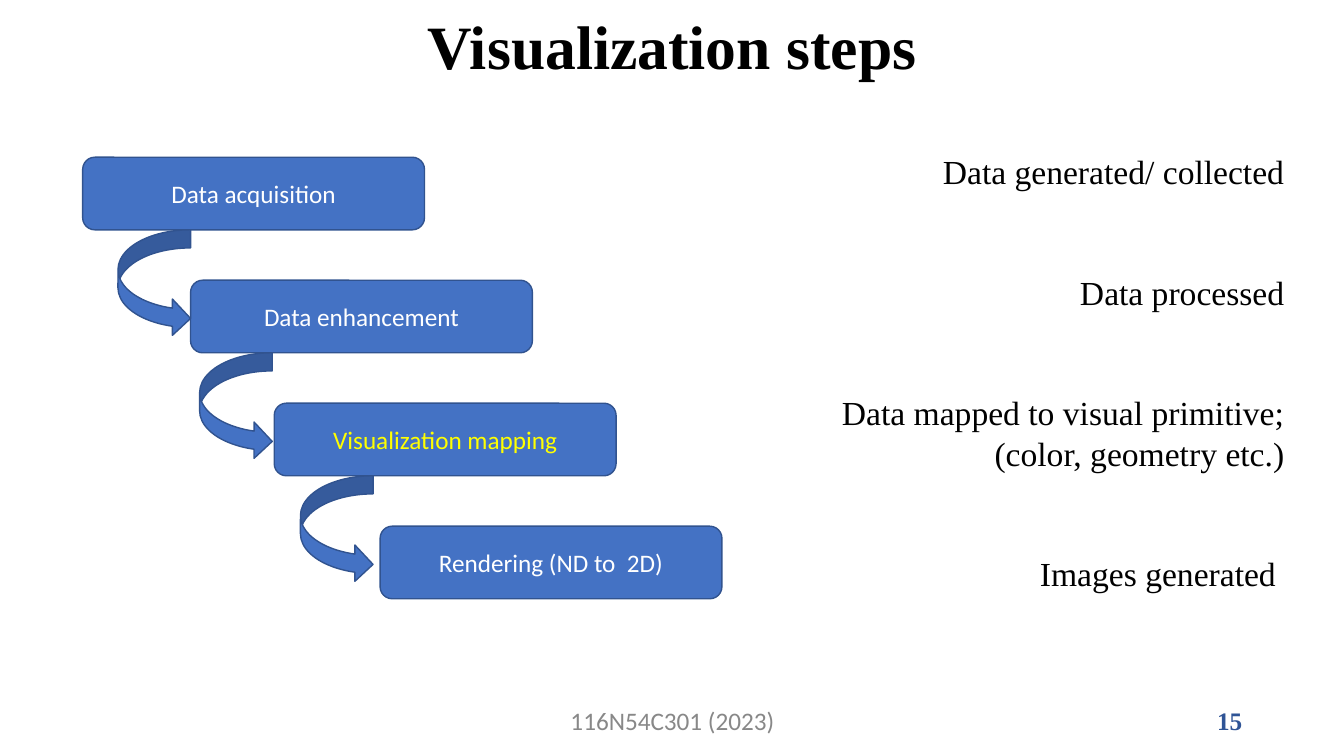
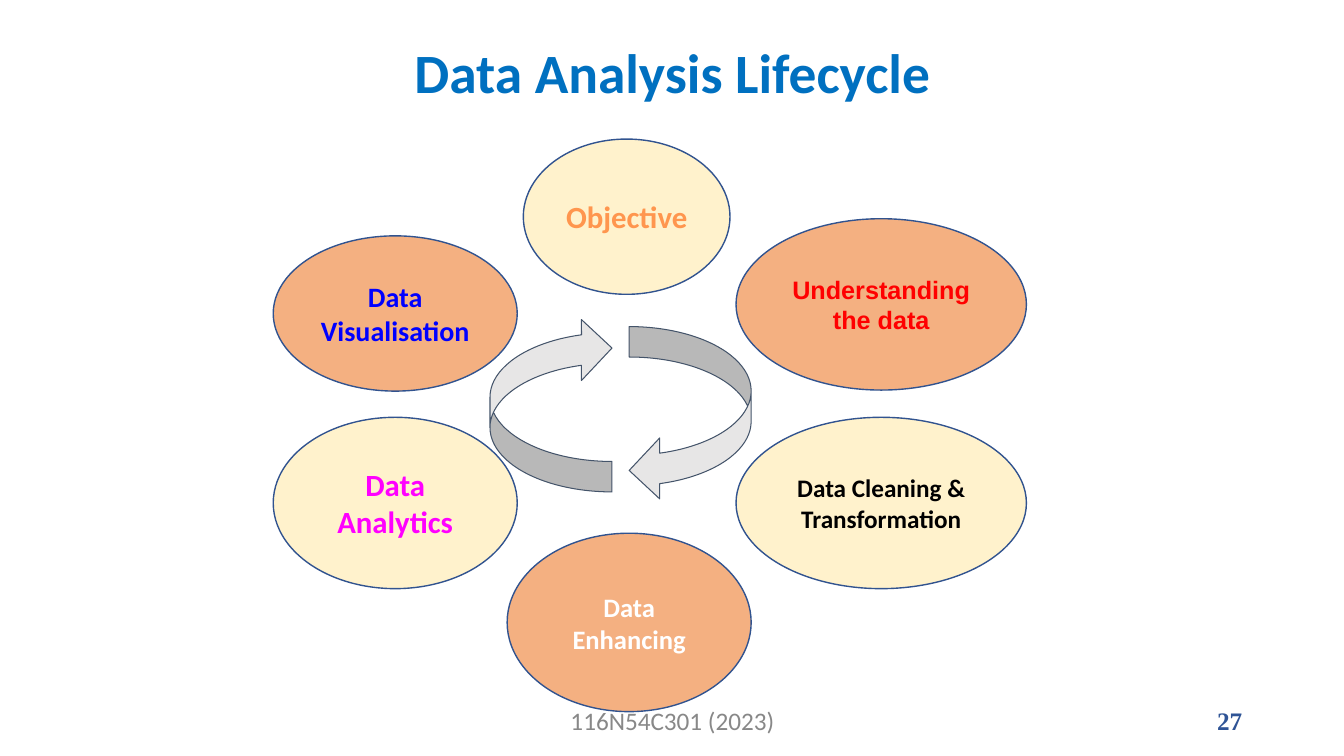
from pptx import Presentation
from pptx.dml.color import RGBColor as RGB
from pptx.enum.shapes import MSO_SHAPE as Geo
from pptx.enum.text import MSO_ANCHOR as Anchor, MSO_AUTO_SIZE as Fit, PP_ALIGN as Align
from pptx.util import Pt

PX = 9144  # EMU per px, 100 px to the inch
SANS, SERIF, ARIAL = "Calibri", "Times New Roman", "Arial"

BLACK = RGB(0x00, 0x00, 0x00)
WHITE = RGB(0xFF, 0xFF, 0xFF)
GRAY = RGB(0x88, 0x88, 0x88)
NAVY = RGB(0x2F, 0x54, 0x96)
BLUE = RGB(0x44, 0x72, 0xC4)
EDGE = RGB(0x31, 0x53, 0x8F)
SKY = RGB(0x00, 0x70, 0xC0)
PURE = RGB(0x00, 0x00, 0xFF)
YELLOW = RGB(0xFF, 0xFF, 0x00)
CREAM = RGB(0xFF, 0xF2, 0xCC)
PEACH = RGB(0xF4, 0xB0, 0x81)
ORANGE = RGB(0xFF, 0x96, 0x4E)
PINK = RGB(0xFF, 0x00, 0xFF)
RED = RGB(0xFF, 0x00, 0x00)
SILVER = RGB(0xE7, 0xE6, 0xE6)
SLATE = RGB(0x44, 0x54, 0x6A)


def px(*sizes):
    return [size * PX for size in sizes]


class Deck:
    def __init__(self):
        self.prs = Presentation()
        self.prs.slide_width, self.prs.slide_height = px(1333, 750)

    def start(self, title, number, top, height, size, font, color):
        """Add a slide with its title, footer and number."""
        self.slide = self.prs.slides.add_slide(self.prs.slide_layouts[5])
        head = self.slide.shapes.title
        head.left, head.top, head.width, head.height = px(92, top, 1150, height)
        self.label(head, title, size, color, font, bold=True)
        head.text_frame.paragraphs[0].line_spacing = 0.9
        self.text("116N54C301 (2023)", (442, 695, 450, 40), 18, GRAY)
        self.text(number, (942, 695, 300, 40), 18, NAVY, SERIF, True, Align.RIGHT)

    def label(self, shape, text, size, color, font=SANS, bold=False,
              align=Align.CENTER, anchor=Anchor.MIDDLE):
        """Fill a shape with text, one paragraph a line, in one style."""
        frame = shape.text_frame
        frame.text = text
        frame.word_wrap = True
        frame.auto_size = Fit.NONE
        frame.vertical_anchor = anchor
        for para in frame.paragraphs:
            para.alignment = align
            for run in para.runs:
                run.font.name = font
                run.font.size = Pt(size)
                run.font.bold = bold
                run.font.color.rgb = color

    def text(self, text, box, *style):
        shape = self.slide.shapes.add_textbox(*px(*box))
        self.label(shape, text, *style)
        return shape

    def shape(self, kind, box, fill, edge=EDGE, width=1, turn=0):
        shape = self.slide.shapes.add_shape(kind, *px(*box))
        shape.shadow.inherit = False
        shape.fill.solid()
        shape.fill.fore_color.rgb = fill
        shape.line.color.rgb = edge
        shape.line.width = Pt(width)
        shape.rotation = turn
        return shape

    def stack(self, rows, box, line, gap):
        """Stack right-aligned lines; each row is a text and its right indent."""
        shape = self.text("\n".join(text for text, _ in rows), box, 24, BLACK,
                          SERIF, False, Align.RIGHT, Anchor.TOP)
        for i, (para, row) in enumerate(zip(shape.text_frame.paragraphs, rows)):
            para.line_spacing = Pt(line)
            if i:
                para.space_before = Pt(gap)
            if row[1]:
                para._p.get_or_add_pPr().set("marR", str(Pt(row[1])))


def steps(deck):
    deck.start("Visualization steps", "15", 10, 78, 44, SERIF, BLACK)
    top, pitch, high = 156, 122, 72
    boxes = [
        (82, "Data acquisition", WHITE),
        (189, "Data enhancement", WHITE),
        (272, "Visualization mapping", YELLOW),
        (377, "Rendering (ND to  2D)", WHITE),
    ]
    for i, (left, text, color) in enumerate(boxes):
        box = deck.shape(Geo.ROUNDED_RECTANGLE, (left, top + i * pitch, 339, high), BLUE)
        deck.label(box, text, 18, color)
    deck.stack([
        ("Data generated/ collected", 6),
        ("Data processed", 0),
        ("Data mapped to visual primitive; (color, geometry etc.)", 0),
        ("Images generated", 12),
    ], (817, 145, 475, 454), 29, 57)
    for i, left in enumerate((117, 198, 298)):
        deck.shape(Geo.CURVED_RIGHT_ARROW, (left, top + high + i * pitch, 72, 106), BLUE)


def cycle(deck):
    deck.start("Data Analysis Lifecycle", "27", 40, 69, 39.6, SANS, SKY)
    stages = [
        ("Objective", (519, 138, 205, 154), CREAM, 22, ORANGE, SANS),
        ("Data Analytics", (271, 414, 242, 170), CREAM, 22, PINK, SANS),
        ("Data Cleaning & Transformation", (730, 414, 288, 170), CREAM, 18, BLACK, SANS),
        ("Understanding the data", (730, 217, 288, 170), PEACH, 18, RED, ARIAL),
        ("Data Enhancing", (503, 529, 242, 177), PEACH, 19, WHITE, SANS),
        ("Data Visualisation", (271, 234, 242, 154), PEACH, 20, PURE, SANS),
    ]
    for text, box, fill, size, color, font in stages:
        oval = deck.shape(Geo.OVAL, box, fill)
        deck.label(oval, text, size, color, font, True)
    for left, top, turn in ((598, 350, 90), (460, 341, 270)):
        deck.shape(Geo.CURVED_DOWN_ARROW, (left, top, 173, 121), SILVER, SLATE, 0.75, turn)


def main():
    deck = Deck()
    steps(deck)
    cycle(deck)
    deck.prs.save("out.pptx")


if __name__ == "__main__":
    main()
